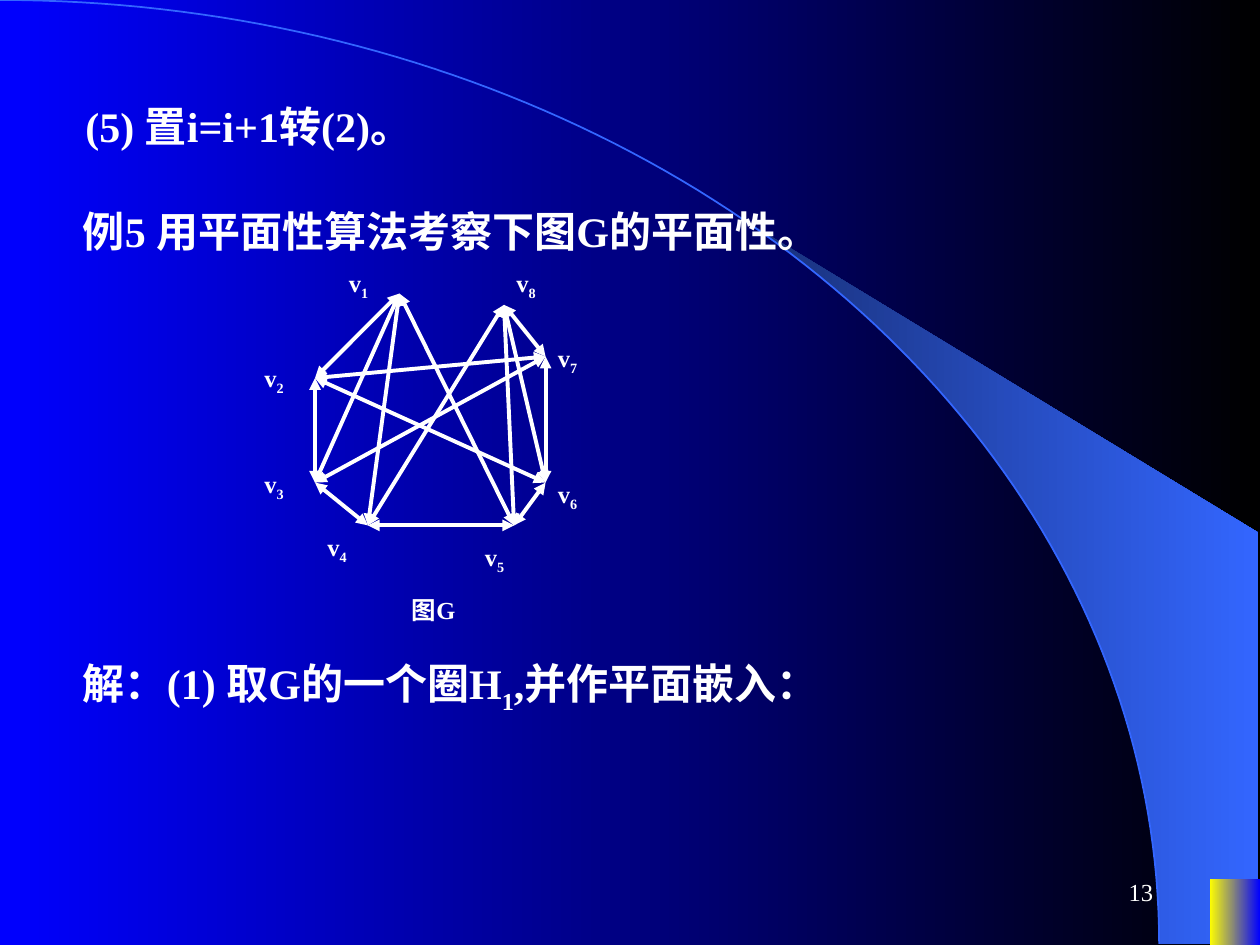
import math
from dataclasses import dataclass

import lxml.etree
import pptx
import pptx.dml.color
import pptx.enum.shapes
import pptx.enum.text
import pptx.oxml.ns
import pptx.util
from pptx.util import Inches


@dataclass(frozen=True)
class Theme:
    font: str = "Times New Roman"
    white: str = "FFFFFF"
    blue: str = "0000FF"
    black: str = "000000"
    navy: str = "182F76"
    sky: str = "3366FF"
    yellow: str = "FFFF00"
    body: int = 24
    small: int = 14
    edge: float = 2.25
    curve: float = 1


@dataclass(frozen=True)
class Box:
    x: float
    y: float
    w: float
    h: float

    def sub(self, x, y, w, h):
        return Box(self.x + x, self.y + y, w, h)

    def emu(self):
        return [Inches(v) for v in (self.x, self.y, self.w, self.h)]


THEME = Theme()
POINTS = {
    1: (1.17, 0.25), 2: (0.5, 0.92), 3: (0.5, 1.75), 4: (0.92, 2.09),
    5: (2.08, 2.09), 6: (2.33, 1.75), 7: (2.33, 0.75), 8: (2, 0.34),
}
EDGES = [
    (1, 2), (2, 3), (3, 4), (4, 5), (5, 6), (7, 6), (2, 7), (7, 8),
    (8, 6), (8, 5), (8, 4), (1, 3), (1, 4), (1, 5), (7, 3), (2, 6),
]
LABELS = {
    6: (2.33, 1.67), 5: (1.75, 2.17), 4: (0.5, 2.09), 3: (0, 1.59),
    2: (0, 0.75), 1: (0.67, 0), 8: (2, 0), 7: (2.33, 0.59),
}


def rgb(code):
    return pptx.dml.color.RGBColor.from_string(code)


def blend(fill, first, last):
    fill.gradient()
    fill.gradient_angle = 0
    for stop, code in zip(fill.gradient_stops, (first, last)):
        stop.color.rgb = rgb(code)


def write(slide, box, parts, size, bold=True, indent=0):
    shape = slide.shapes.add_textbox(*box.emu())
    frame = shape.text_frame
    frame.word_wrap = True
    para = frame.paragraphs[0]
    para._p.get_or_add_pPr().set("marL", str(Inches(indent)))
    for text, sub in parts:
        run = para.add_run()
        run.text = text
        run.font.name = THEME.font
        run.font.size = pptx.util.Pt(size)
        run.font.bold = bold
        run.font.color.rgb = rgb(THEME.white)
        if sub:
            run._r.get_or_add_rPr().set("baseline", "-25000")
    return frame


def trace(slide, points, close):
    spots = [(Inches(x), Inches(y)) for x, y in points]
    pen = slide.shapes.build_freeform(*spots[0], scale=1.0)
    pen.add_line_segments(spots[1:], close=close)
    shape = pen.convert_to_shape()
    shape.shadow.inherit = False
    return shape


def arc(box, start, steps):
    span = math.pi / 2 - start
    turns = [start + span * i / steps for i in range(steps + 1)]
    return [(box.x + box.w * math.sin(t), box.y + box.h * (1 - math.cos(t)))
            for t in turns]


def draw_back(slide, box):
    blend(slide.background.fill, THEME.blue, THEME.black)
    oval = box.sub(0, 0, 9.2, 7.49)
    right, low = box.x + 9.99, box.y + 7.49
    rim = arc(oval, math.asin(5.89 / oval.w), 24)
    wedge = trace(slide, rim + [(right, low), (right, box.y + 4.23)], True)
    blend(wedge.fill, THEME.navy, THEME.sky)
    wedge.line.fill.background()

    curve = trace(slide, arc(oval, 0, 90), False)
    curve.fill.background()
    curve.line.color.rgb = rgb(THEME.sky)
    curve.line.width = pptx.util.Pt(THEME.curve)

    block = slide.shapes.add_shape(
        pptx.enum.shapes.MSO_SHAPE.RECTANGLE, *box.sub(9.6, 6.98, 0.4, 0.52).emu())
    block.shadow.inherit = False
    blend(block.fill, THEME.yellow, THEME.blue)
    block.line.fill.background()


def draw_edge(slide, start, end):
    edge = slide.shapes.add_connector(
        pptx.enum.shapes.MSO_CONNECTOR.STRAIGHT,
        *[Inches(v) for v in (*start, *end)])
    edge.line.color.rgb = rgb(THEME.white)
    edge.line.width = pptx.util.Pt(THEME.edge)
    props = edge._element.spPr
    line = props.find(pptx.oxml.ns.qn("a:ln"))
    for tag in ("a:headEnd", "a:tailEnd"):
        lxml.etree.SubElement(line, pptx.oxml.ns.qn(tag), type="triangle")
    lxml.etree.SubElement(props, pptx.oxml.ns.qn("a:effectLst"))


def draw_graph(slide, box):
    spots = {n: (box.x + x, box.y + y) for n, (x, y) in POINTS.items()}
    for a, b in EDGES:
        draw_edge(slide, spots[a], spots[b])
    for n, (x, y) in LABELS.items():
        write(slide, box.sub(x, y, 0.6, 0.37),
              [("v", False), (str(n), True)], THEME.small)
    write(slide, box.sub(1.17, 2.59, 0.92, 0.34), [("图G", False)], THEME.small)


def draw_text(slide, box):
    rows = [
        (0, 0.5, 0.33, [("(5) 置i=i+1转(2)。", False)]),
        (0.83, 0.5, 0.31, [("例5 用平面性算法考察下图G的平面性。", False)]),
        (4.42, 0.56, 0.31, [("解：(1) 取G的一个圈H", False), ("1", True),
                            (",并作平面嵌入：", False)]),
    ]
    for top, tall, indent, parts in rows:
        write(slide, box.sub(0, top, box.w, tall), parts, THEME.body, indent=indent)


def draw_page(slide, box):
    frame = write(slide, box, [("13", False)], THEME.small, bold=False)
    frame.vertical_anchor = pptx.enum.text.MSO_ANCHOR.MIDDLE
    frame.paragraphs[0].alignment = pptx.enum.text.PP_ALIGN.RIGHT


def main():
    deck = pptx.Presentation()
    deck.slide_width, deck.slide_height = Inches(10), Inches(7.5)
    slide = deck.slides.add_slide(deck.slide_layouts[6])
    draw_back(slide, Box(0, 0, 10, 7.5))
    draw_page(slide, Box(7.17, 6.83, 2.08, 0.5))
    draw_text(slide, Box(0.25, 0.75, 8.67, 4.98))
    draw_graph(slide, Box(2, 2.08, 2.93, 2.93))
    deck.save("out.pptx")


if __name__ == "__main__":
    main()
